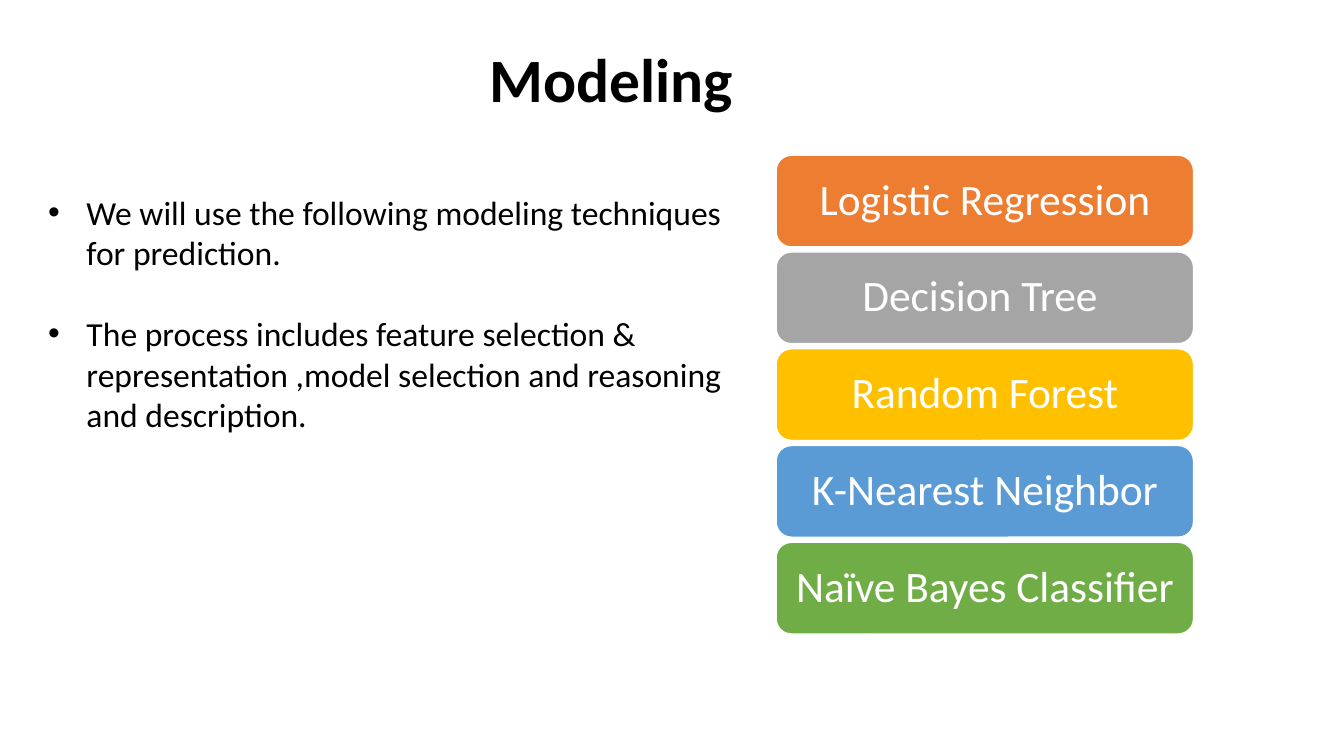
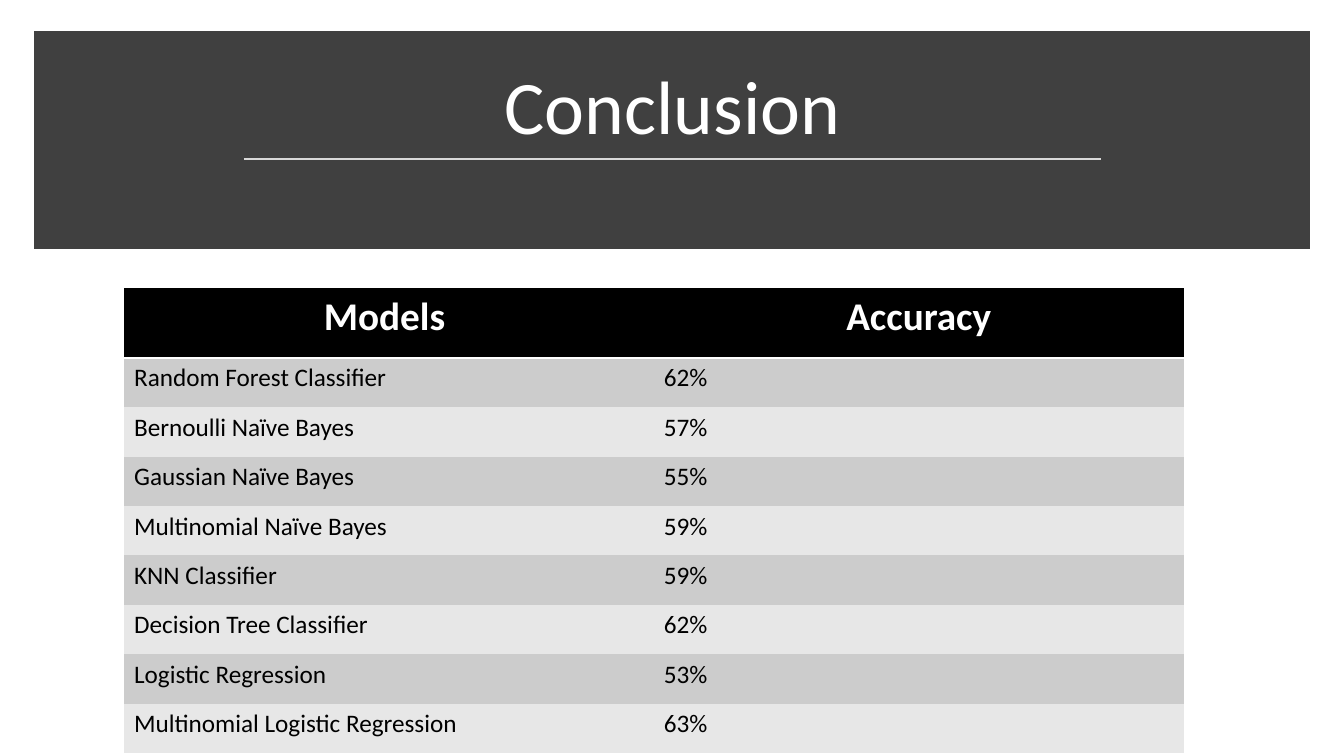
"""Build two slides: the modeling techniques and the accuracy of each model."""
from lxml.etree import SubElement
from pptx import Presentation
from pptx.dml.color import RGBColor
from pptx.enum.shapes import MSO_CONNECTOR, MSO_SHAPE
from pptx.enum.text import MSO_ANCHOR as Anchor, PP_ALIGN as Align
from pptx.oxml import parse_xml
from pptx.oxml.ns import nsdecls, qn
from pptx.util import Emu, Inches, Pt

FONT = "Calibri"
BLACK, WHITE, CHARCOAL, SILVER = "000000", "FFFFFF", "404040", "D9D9D9"
STRIPES = ["CCCCCC", "E7E7E7"]
PLAIN_TABLE = "{2D5ABB26-0587-4C30-8999-92F81FD0307C}"

deck = Presentation()
deck.slide_width, deck.slide_height = Inches(13.33), Inches(7.5)
COLUMN, ROW = deck.slide_width / 100, deck.slide_height / 100


def area(left, top, width, height):
    """Turn percentages of the slide into lengths."""
    return [Emu(int(n * unit)) for n, unit in zip((left, top, width, height), (COLUMN, ROW) * 2)]


def write(para, text, size, color, align=Align.LEFT, bold=False):
    """Add one run to a paragraph."""
    para.alignment = align
    span = para.add_run()
    span.text = text
    span.font.name, span.font.size, span.font.bold = FONT, Pt(size), bold
    span.font.color.rgb = RGBColor.from_string(color)


modeling, conclusion = [deck.slides.add_slide(deck.slide_layouts[6]) for _ in range(2)]

titles = [
    (modeling, "Modeling", (35.7, 1.2, 60, 19.33), 44, BLACK, Align.LEFT, True, Anchor.MIDDLE, 0.9),
    (conclusion, "Conclusion", (4.35, 6.8, 91.37, 13.6), 54, WHITE, Align.CENTER, False, Anchor.BOTTOM, 1),
]

band = conclusion.shapes.add_shape(MSO_SHAPE.RECTANGLE, *area(3.08, 5.07, 93.85, 26.93))
band.shadow.inherit = False
band.fill.solid()
band.fill.fore_color.rgb = band.line.color.rgb = RGBColor.from_string(CHARCOAL)
band.line.width = Pt(10)
SubElement(band.line._ln, qn("a:miter"), lim="800000")

for page, text, place, size, color, align, bold, anchor, spacing in titles:
    box = page.shapes.add_textbox(*area(*place))
    box.text_frame.word_wrap = True
    box.text_frame.vertical_anchor = anchor
    para = box.text_frame.paragraphs[0]
    para.line_spacing = spacing
    write(para, text, size, color, align, bold)

techniques = [
    ("Logistic Regression", "ED7D31"),
    ("Decision Tree ", "A5A5A5"),
    ("Random Forest", "FFC000"),
    ("K-Nearest Neighbor", "5B9BD5"),
    ("Naïve Bayes Classifier", "70AD47"),
]
for index, (name, color) in enumerate(techniques):
    place = area(57.75, 20.53 + 12.8 * index, 31.06, 12.13)
    box = modeling.shapes.add_shape(MSO_SHAPE.ROUNDED_RECTANGLE, *place)
    box.shadow.inherit = False
    box.fill.solid()
    box.fill.fore_color.rgb = RGBColor.from_string(color)
    box.line.color.rgb = RGBColor.from_string(WHITE)
    box.line.width = Pt(1)
    frame = box.text_frame
    frame.margin_left = frame.margin_right = Inches(0.13)
    frame.vertical_anchor = Anchor.MIDDLE
    frame.paragraphs[0].line_spacing = 0.9
    write(frame.paragraphs[0], name, 31, WHITE, Align.CENTER)

points = [
    "We will use the following modeling techniques for prediction.",
    "The process includes feature selection & representation ,model selection and reasoning and description.",
]
box = modeling.shapes.add_textbox(*area(2.85, 24.67, 54.16, 37.73))
box.text_frame.word_wrap = True
for index, point in enumerate(points):
    para = box.text_frame.add_paragraph() if index else box.text_frame.paragraphs[0]
    para.space_before = Pt(29.3 * index)
    write(para, point, 24, BLACK)
    settings = para._p.get_or_add_pPr()
    settings.set("marL", str(Inches(0.38)))
    settings.set("indent", str(-Inches(0.38)))
    SubElement(settings, qn("a:buFont"), typeface="Arial")
    SubElement(settings, qn("a:buChar"), char="•")

left, top, width, _ = area(18.15, 21.07, 63.77, 0)
rule = conclusion.shapes.add_connector(MSO_CONNECTOR.STRAIGHT, left, top, left + width, top)
rule.line.color.rgb = RGBColor.from_string(SILVER)
rule.line.width = Pt(1.75)
SubElement(rule._element.spPr, qn("a:effectLst"))

results = [
    ("Models ", "Accuracy"),
    ("Random Forest Classifier", "62%"),
    ("Bernoulli Naïve Bayes", "57%"),
    ("Gaussian Naïve Bayes", "55%"),
    ("Multinomial Naïve Bayes", "59%"),
    ("KNN Classifier", "59%"),
    ("Decision Tree Classifier", "62%"),
    ("Logistic Regression", "53%"),
    ("Multinomial Logistic Regression", "63%"),
]
HEADER_HEIGHT, RESULT_HEIGHT = 9.2, 6.54
place = area(9.23, 38.13, 78.84, HEADER_HEIGHT + RESULT_HEIGHT * (len(results) - 1))
table = conclusion.shapes.add_table(len(results), 2, *place).table
table._tbl.tblPr.find(qn("a:tableStyleId")).text = PLAIN_TABLE
for index, result in enumerate(results):
    header = index == 0
    table.rows[index].height = Emu(int(ROW * (HEADER_HEIGHT if header else RESULT_HEIGHT)))
    for cell, text in zip(table.rows[index].cells, result):
        cell.fill.solid()
        cell.fill.fore_color.rgb = RGBColor.from_string(BLACK if header else STRIPES[(index - 1) % 2])
        para = cell.text_frame.paragraphs[0]
        if header:
            write(para, text, 28, WHITE, Align.CENTER, True)
            border = parse_xml(
                f'<a:lnB {nsdecls("a")} w="{Pt(2)}"><a:solidFill>'
                f'<a:srgbClr val="{WHITE}"/></a:solidFill></a:lnB>'
            )
            cell._tc.get_or_add_tcPr().insert(0, border)
        else:
            write(para, text, 18, BLACK)

deck.save("out.pptx")
